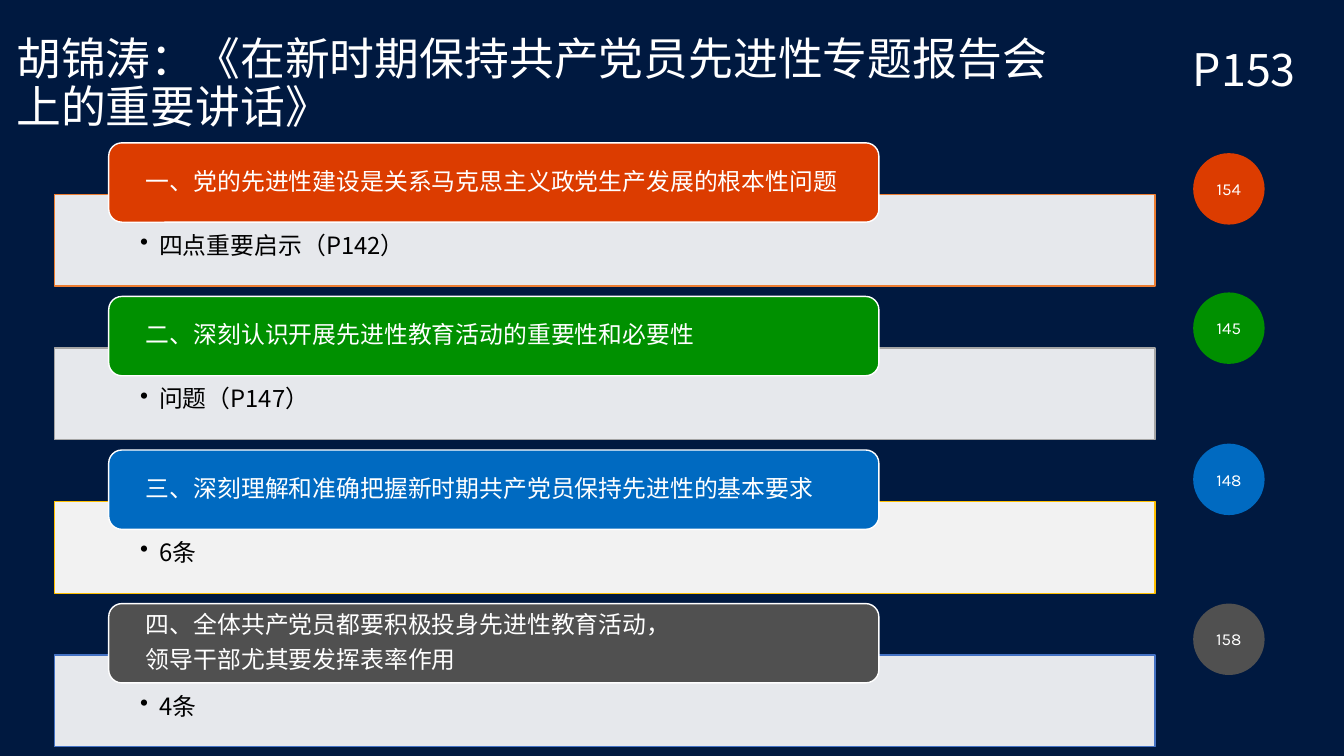
from dataclasses import dataclass

from lxml.etree import SubElement
from pptx import Presentation
from pptx.dml.color import RGBColor
from pptx.enum.shapes import MSO_SHAPE as Shape
from pptx.enum.text import MSO_ANCHOR as Anchor, MSO_AUTO_SIZE as AutoSize, PP_ALIGN as Align
from pptx.oxml.ns import qn
from pptx.util import Cm, Pt


@dataclass(frozen=True)
class Theme:
    background: str = "001940"
    white: str = "FFFFFF"
    black: str = "000000"
    pale: str = "F2F2F2"
    text_font: str = "Noto Sans CJK SC"
    badge_font: str = "Karla"
    title_size: int = 32
    body_size: int = 17
    badge_size: int = 12


THEME = Theme()


def write(shape, lines, size, color, font=THEME.text_font, align=Align.LEFT,
          anchor=Anchor.TOP, insets=(0.25, 0.13, 0.25, 0.13), spacing=1.0):
    """Fill the shape with one paragraph per line; insets are left, top, right, bottom in cm."""
    frame = shape.text_frame
    frame.word_wrap, frame.auto_size = True, AutoSize.NONE
    frame.vertical_anchor = anchor
    (frame.margin_left, frame.margin_top,
     frame.margin_right, frame.margin_bottom) = map(Cm, insets)
    frame.text = "\n".join(lines)
    for paragraph in frame.paragraphs:
        paragraph.alignment = align
        paragraph.line_spacing = spacing
        paragraph.space_before = Pt(0)
        paragraph.font.size = Pt(size)
        paragraph.font.name = font
        paragraph.font.color.rgb = RGBColor.from_string(color)
        defaults = paragraph._p.pPr.find(qn("a:defRPr"))
        SubElement(defaults, qn("a:ea"), typeface=font)
    return frame


def add_block(kind, left, top, width, height, fill, outline=None):
    block = slide.shapes.add_shape(kind, Cm(left), Cm(top), Cm(width), Cm(height))
    block.shadow.inherit = False
    block.fill.solid()
    block.fill.fore_color.rgb = RGBColor.from_string(fill)
    if outline:
        block.line.color.rgb = RGBColor.from_string(outline)
        block.line.width = Pt(1)
    else:
        block.line.fill.background()
    return block


presentation = Presentation()
presentation.slide_width, presentation.slide_height = Cm(33.87), Cm(19.05)
slide = presentation.slides.add_slide(presentation.slide_layouts[5])
slide.background.fill.solid()
slide.background.fill.fore_color.rgb = RGBColor.from_string(THEME.background)

title = slide.shapes.title
title.left, title.top, title.width, title.height = Cm(0.16), Cm(0.79), Cm(26.8), Cm(1.88)
write(title, ["胡锦涛：《在新时期保持共产党员先进性专题报告会上的重要讲话》"],
      THEME.title_size, THEME.white, spacing=0.9)

page = slide.shapes.add_textbox(Cm(23.11), Cm(0.91), Cm(9.8), Cm(1.63))
write(page, ["P153"], THEME.title_size, THEME.white, align=Align.RIGHT)

# heading lines, detail, accent, bar outline, bar fill, bar opacity, page badge, badge top
sections = [
    (["一、党的先进性建设是关系马克思主义政党生产发展的根本性问题"], "四点重要启示（P142）",
     "DC3C00", "ED7D31", THEME.white, 90, "154", 3.86),
    (["二、深刻认识开展先进性教育活动的重要性和必要性"], "问题（P147）",
     "009000", "A5A5A5", THEME.white, 90, "145", 7.37),
    (["三、深刻理解和准确把握新时期共产党员保持先进性的基本要求"], "6条",
     "006AC1", "FFC000", THEME.pale, 100, "148", 11.18),
    (["四、全体共产党员都要积极投身先进性教育活动，", "领导干部尤其要发挥表率作用"], "4条",
     "505050", "4472C4", THEME.white, 90, "158", 15.21),
]
FIRST_TOP, PITCH, BAR_DROP = 3.6, 3.87, 1.3

for index, (heading, detail, accent, outline, fill, opacity, number, badge_top) in enumerate(sections):
    top = FIRST_TOP + index * PITCH

    bar = add_block(Shape.RECTANGLE, 1.37, top + BAR_DROP, 27.74, 2.31, fill, outline)
    if opacity < 100:
        bar_color = bar._element.spPr.find(qn("a:solidFill"))[0]
        SubElement(bar_color, qn("a:alpha"), val=str(opacity * 1000))
    bullet_frame = write(bar, [detail], THEME.body_size, THEME.black,
                         insets=(2.16, 0.99, 2.16, 0.33), spacing=0.9)
    properties = bullet_frame.paragraphs[0]._p.pPr
    properties.set("marL", str(Cm(0.48)))
    properties.set("indent", str(-Cm(0.48)))
    bullet = SubElement(properties, qn("a:buChar"), char="•")
    properties.find(qn("a:defRPr")).addprevious(bullet)

    label = add_block(Shape.ROUNDED_RECTANGLE, 2.74, top, 19.41, 2.0, accent, THEME.white)
    label_frame = write(label, heading, THEME.body_size, THEME.white, anchor=Anchor.MIDDLE,
                        insets=(0.84, 0, 0.84, 0), spacing=0.9)
    for paragraph in label_frame.paragraphs[:-1]:
        paragraph.space_after = Pt(6)

    badge = add_block(Shape.OVAL, 30.07, badge_top, 1.8, 1.8, accent)
    write(badge, [number], THEME.badge_size, THEME.white, THEME.badge_font,
          Align.CENTER, Anchor.MIDDLE)

presentation.save("out.pptx")
